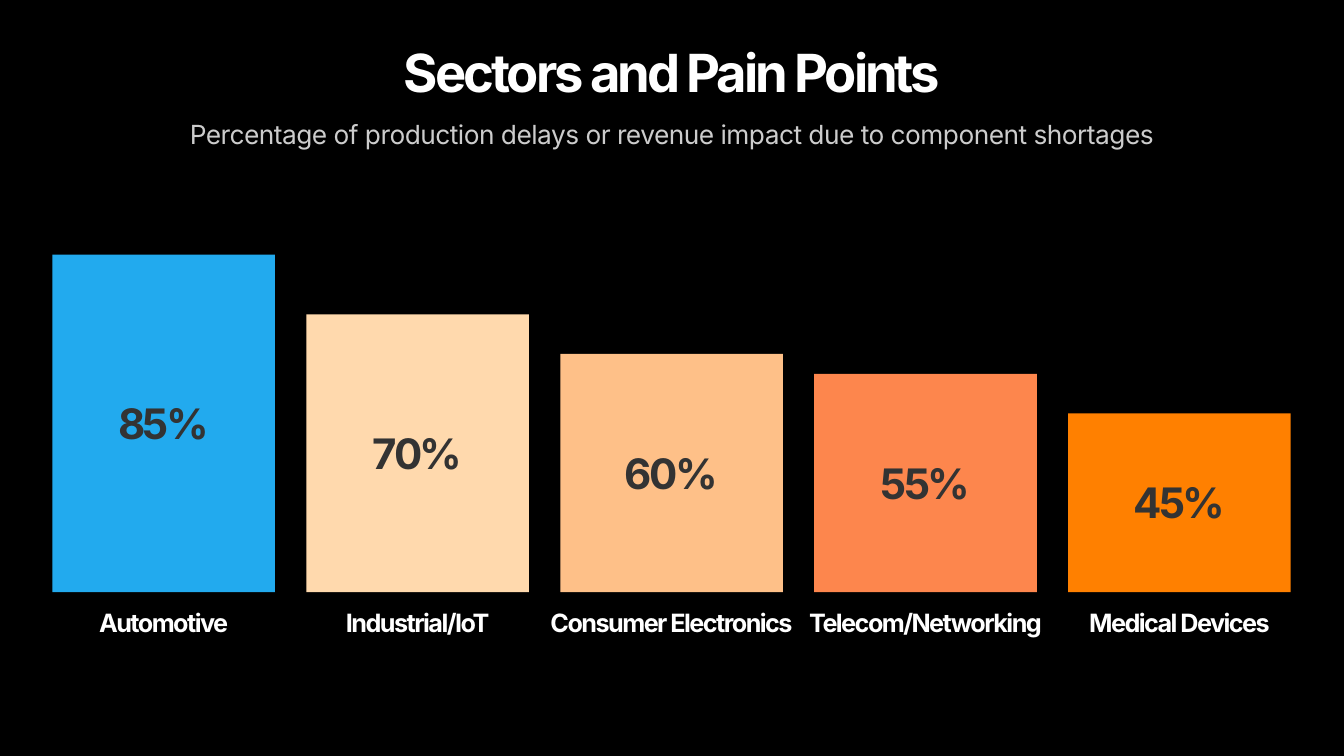
from lxml.etree import SubElement
from pptx import Presentation
from pptx.dml.color import RGBColor
from pptx.enum.shapes import MSO_SHAPE as Shape
from pptx.enum.text import MSO_ANCHOR as Anchor, MSO_AUTO_SIZE as AutoSize, PP_ALIGN as Align
from pptx.oxml.ns import qn
from pptx.util import Cm, Pt

BLACK = RGBColor(0x00, 0x00, 0x00)
WHITE = RGBColor(0xFF, 0xFF, 0xFF)
CHARCOAL = RGBColor(0x33, 0x33, 0x33)
BLUE = RGBColor(0x22, 0xAA, 0xEE)
CREAM = RGBColor(0xFF, 0xD9, 0xAD)
PEACH = RGBColor(0xFE, 0xC0, 0x88)
CORAL = RGBColor(0xFD, 0x86, 0x4D)
ORANGE = RGBColor(0xFF, 0x80, 0x00)

SECTORS = [
    ("Automotive", 85, BLUE),
    ("Industrial/IoT", 70, CREAM),
    ("Consumer Electronics", 60, PEACH),
    ("Telecom/Networking", 55, CORAL),
    ("Medical Devices", 45, ORANGE),
]

# Lengths in centimetres
SLIDE_WIDTH, SLIDE_HEIGHT = 33.87, 19.05
BAR_LEFT, BAR_WIDTH, BAR_PITCH = 1.32, 5.61, 6.4
BASELINE, HEIGHT_PER_PERCENT = 14.92, 0.1
LABEL_TOP, LABEL_WIDTH, LABEL_HEIGHT = 15.32, 6.17, 0.74

# Size, line spacing and letter spacing in points
TITLE = {"size": 37.5, "line": 43.8, "spacing": -2.2, "bold": True, "color": WHITE}
SUBTITLE = {"size": 18.8, "line": 26, "spacing": -0.4, "bold": False, "color": WHITE}
LABEL = {"size": 18, "line": 21, "spacing": -1.1, "bold": True, "color": WHITE}
VALUE = {"size": 30, "line": 35, "spacing": -1.8, "bold": True, "color": CHARCOAL}


def write_text(shape, text, style, anchor=Anchor.TOP):
    """Put one centred line of styled text into a shape."""
    frame = shape.text_frame
    frame_format = {
        "margin_left": 0, "margin_right": 0, "margin_top": 0, "margin_bottom": 0,
        "word_wrap": True, "auto_size": AutoSize.NONE, "vertical_anchor": anchor,
    }
    for name, value in frame_format.items():
        setattr(frame, name, value)
    paragraph = frame.paragraphs[0]
    paragraph.alignment = Align.CENTER
    paragraph.line_spacing = Pt(style["line"])
    run = paragraph.add_run()
    run.text = text
    font_format = {"name": "Inter", "size": Pt(style["size"]), "bold": style["bold"]}
    for name, value in font_format.items():
        setattr(run.font, name, value)
    run.font.color.rgb = style["color"]
    run.font._element.set("spc", str(round(style["spacing"] * 100)))
    return run


def add_title(slide, text):
    title = slide.shapes.title
    place = {"left": Cm(0), "top": Cm(1.04), "width": Cm(SLIDE_WIDTH), "height": Cm(1.55)}
    for name, value in place.items():
        setattr(title, name, value)
    write_text(title, text, TITLE)


def add_text(slide, text, style, left, top, width, height):
    box = slide.shapes.add_textbox(Cm(left), Cm(top), Cm(width), Cm(height))
    return write_text(box, text, style)


def set_opacity(run, percent):
    color = run.font._element.find(".//" + qn("a:srgbClr"))
    SubElement(color, qn("a:alpha")).set("val", str(percent * 1000))


def add_bar(slide, left, percent, color):
    height = percent * HEIGHT_PER_PERCENT
    bar = slide.shapes.add_shape(
        Shape.RECTANGLE, Cm(left), Cm(BASELINE - height), Cm(BAR_WIDTH), Cm(height))
    bar.shadow.inherit = False
    bar.fill.solid()
    bar.fill.fore_color.rgb = color
    bar.line.fill.background()
    write_text(bar, f"{percent}%", VALUE, Anchor.MIDDLE)


def main():
    presentation = Presentation()
    presentation.slide_width = Cm(SLIDE_WIDTH)
    presentation.slide_height = Cm(SLIDE_HEIGHT)
    slide = presentation.slides.add_slide(presentation.slide_layouts[5])
    slide.background.fill.solid()
    slide.background.fill.fore_color.rgb = BLACK

    # Heading
    add_title(slide, "Sectors and Pain Points")
    subtitle = add_text(
        slide, "Percentage of production delays or revenue impact due to component shortages",
        SUBTITLE, 0, 2.87, SLIDE_WIDTH, 0.91)
    set_opacity(subtitle, 80)

    # Bars with a label centred under each
    for index, (sector, percent, color) in enumerate(SECTORS):
        left = BAR_LEFT + index * BAR_PITCH
        add_bar(slide, left, percent, color)
        label_left = left - (LABEL_WIDTH - BAR_WIDTH) / 2
        add_text(slide, sector, LABEL, label_left, LABEL_TOP, LABEL_WIDTH, LABEL_HEIGHT)

    presentation.save("out.pptx")


if __name__ == "__main__":
    main()
